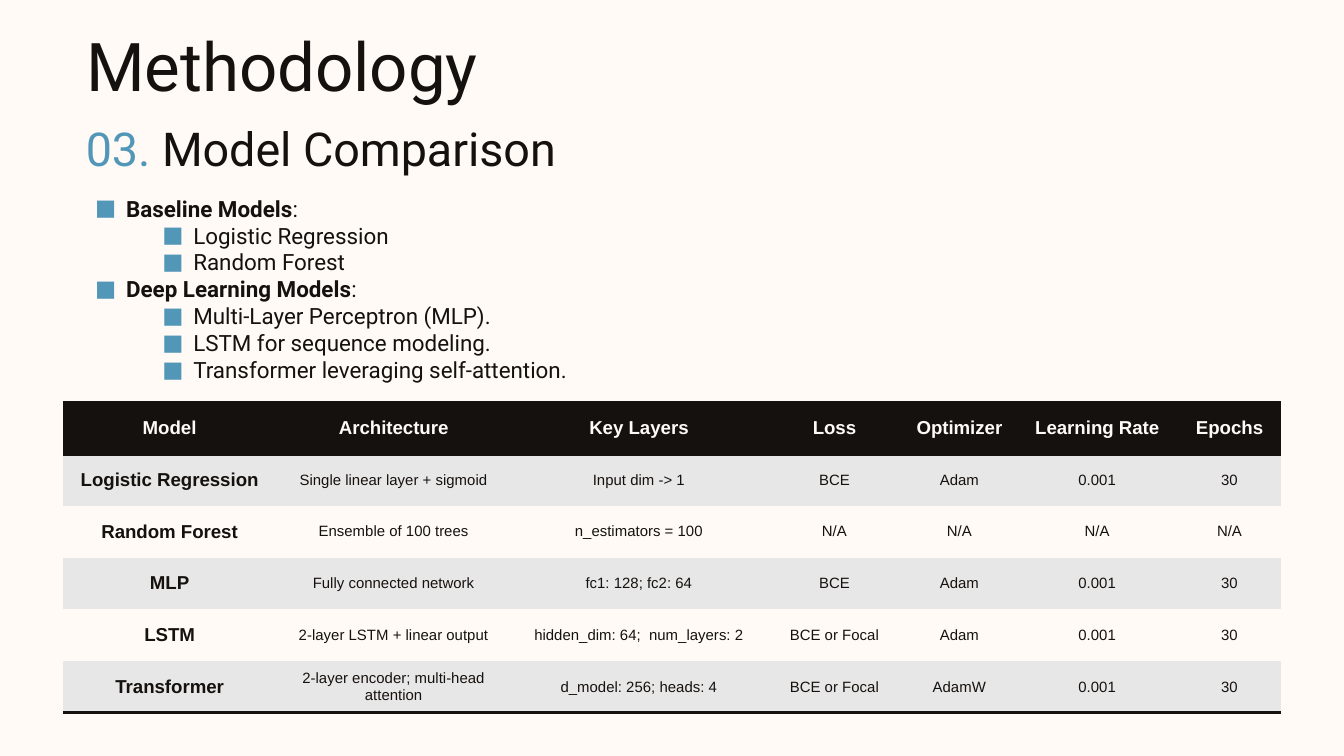
from lxml import etree
from pptx import Presentation
from pptx.dml.color import RGBColor
from pptx.enum.text import MSO_ANCHOR, PP_ALIGN
from pptx.oxml.ns import qn
from pptx.util import Pt

COLORS = {"ink": "15110E", "paper": "FFFAF6", "accent": "5296B8", "band": "E8E7E7"}
INSET = 7.2

BULLETS = [
    ("Baseline Models", ["Logistic Regression", "Random Forest"]),
    ("Deep Learning Models", [
        "Multi-Layer Perceptron (MLP).",
        "LSTM for sequence modeling.",
        "Transformer leveraging self-attention.",
    ]),
]
COL_WIDTHS = [114.1, 126, 136.8, 72.7, 61.2, 86.4, 55.4]
ROW_HEIGHT = 27.72
ROWS = [
    ["Model", "Architecture", "Key Layers", "Loss", "Optimizer", "Learning Rate", "Epochs"],
    ["Logistic Regression", "Single linear layer + sigmoid", "Input dim -> 1", "BCE", "Adam", "0.001", "30"],
    ["Random Forest", "Ensemble of 100 trees", "n_estimators = 100", "N/A", "N/A", "N/A", "N/A"],
    ["MLP", "Fully connected network", "fc1: 128; fc2: 64", "BCE", "Adam", "0.001", "30"],
    ["LSTM", "2-layer LSTM + linear output", "hidden_dim: 64;  num_layers: 2", "BCE or Focal", "Adam", "0.001", "30"],
    ["Transformer", "2-layer encoder; multi-head attention", "d_model: 256; heads: 4", "BCE or Focal",
     "AdamW", "0.001", "30"],
]


def rgb(name):
    return RGBColor.from_string(COLORS[name])


def add_text(p, text, size=12, font="Roboto", color="ink", bold=False):
    r = p.add_run()
    r.text = text
    r.font.size = Pt(size)
    r.font.name = font
    r.font.bold = bold
    r.font.color.rgb = rgb(color)


def set_frame(tf, anchor=MSO_ANCHOR.TOP):
    tf.word_wrap = True
    tf.vertical_anchor = anchor
    tf.margin_left = tf.margin_right = tf.margin_top = tf.margin_bottom = Pt(INSET)


def add_box(s, box, anchor=MSO_ANCHOR.TOP):
    tf = s.shapes.add_textbox(*map(Pt, box)).text_frame
    set_frame(tf, anchor)
    return tf


def set_bullet(p, level):
    p.level = level
    pPr = p._p.get_or_add_pPr()
    pPr.set("marL", str(Pt(21.6 + 36 * level)))
    pPr.set("indent", str(-Pt(16.56)))
    color = etree.SubElement(pPr, qn("a:buClr"))
    etree.SubElement(color, qn("a:srgbClr"), val=COLORS["accent"])
    etree.SubElement(pPr, qn("a:buFont"), typeface="Roboto")
    etree.SubElement(pPr, qn("a:buChar"), char="■")


def set_borders(cell, top, bottom):
    tcPr = cell._tc.get_or_add_tcPr()
    sides = [("a:lnL", False), ("a:lnR", False), ("a:lnT", top), ("a:lnB", bottom)]
    for i, (tag, visible) in enumerate(sides):
        ln = etree.Element(qn(tag), w=str(Pt(2) if visible else 0))
        fill = etree.SubElement(ln, qn("a:solidFill" if visible else "a:noFill"))
        if visible:
            etree.SubElement(fill, qn("a:srgbClr"), val=COLORS["ink"])
        tcPr.insert(i, ln)


def place_title(s, box):
    sp = s.shapes.title
    sp.left, sp.top, sp.width, sp.height = map(Pt, box)
    set_frame(sp.text_frame)
    p = sp.text_frame.paragraphs[0]
    p.alignment = PP_ALIGN.LEFT
    add_text(p, "Methodology", size=36)


def place_subtitle(s, box):
    p = add_box(s, box, MSO_ANCHOR.MIDDLE).paragraphs[0]
    add_text(p, "03. ", size=25, color="accent")
    add_text(p, "Model Comparison", size=25)


def place_bullets(s, box):
    tf = add_box(s, box)
    p = tf.paragraphs[0]
    for i, (group, models) in enumerate(BULLETS):
        if i:
            p = tf.add_paragraph()
        set_bullet(p, 0)
        add_text(p, group, bold=True)
        add_text(p, ":")
        for model in models:
            p = tf.add_paragraph()
            set_bullet(p, 1)
            add_text(p, model)


def place_table(s, box):
    table = s.shapes.add_table(len(ROWS), len(COL_WIDTHS), *map(Pt, box)).table
    for column, width in zip(table.columns, COL_WIDTHS):
        column.width = Pt(width)
    for i, values in enumerate(ROWS):
        header = i == 0
        table.rows[i].height = Pt(ROW_HEIGHT)
        fill = "ink" if header else "band" if i % 2 else "paper"
        for j, value in enumerate(values):
            cell = table.cell(i, j)
            cell.vertical_anchor = MSO_ANCHOR.MIDDLE
            cell.fill.solid()
            cell.fill.fore_color.rgb = rgb(fill)
            set_borders(cell, top=i < 2, bottom=header or i == len(ROWS) - 1)
            p = cell.text_frame.paragraphs[0]
            p.alignment = PP_ALIGN.CENTER
            strong = header or j == 0
            add_text(p, value, size=10 if strong else 8, font="Arial",
                     color="paper" if header else "ink", bold=strong)


def main():
    prs = Presentation()
    prs.slide_width, prs.slide_height = Pt(720), Pt(405)
    s = prs.slides.add_slide(prs.slide_layouts[5])
    s.background.fill.solid()
    s.background.fill.fore_color.rgb = rgb("paper")
    left = 38.9
    place_subtitle(s, (left, 61.2, 395.3, 36))
    place_bullets(s, (left, 97.2, 643, 110.2))
    place_title(s, (left, 5.8, 607.7, 55.4))
    place_table(s, (33.8, 215.6, sum(COL_WIDTHS), ROW_HEIGHT * len(ROWS)))
    prs.save("out.pptx")


if __name__ == "__main__":
    main()
